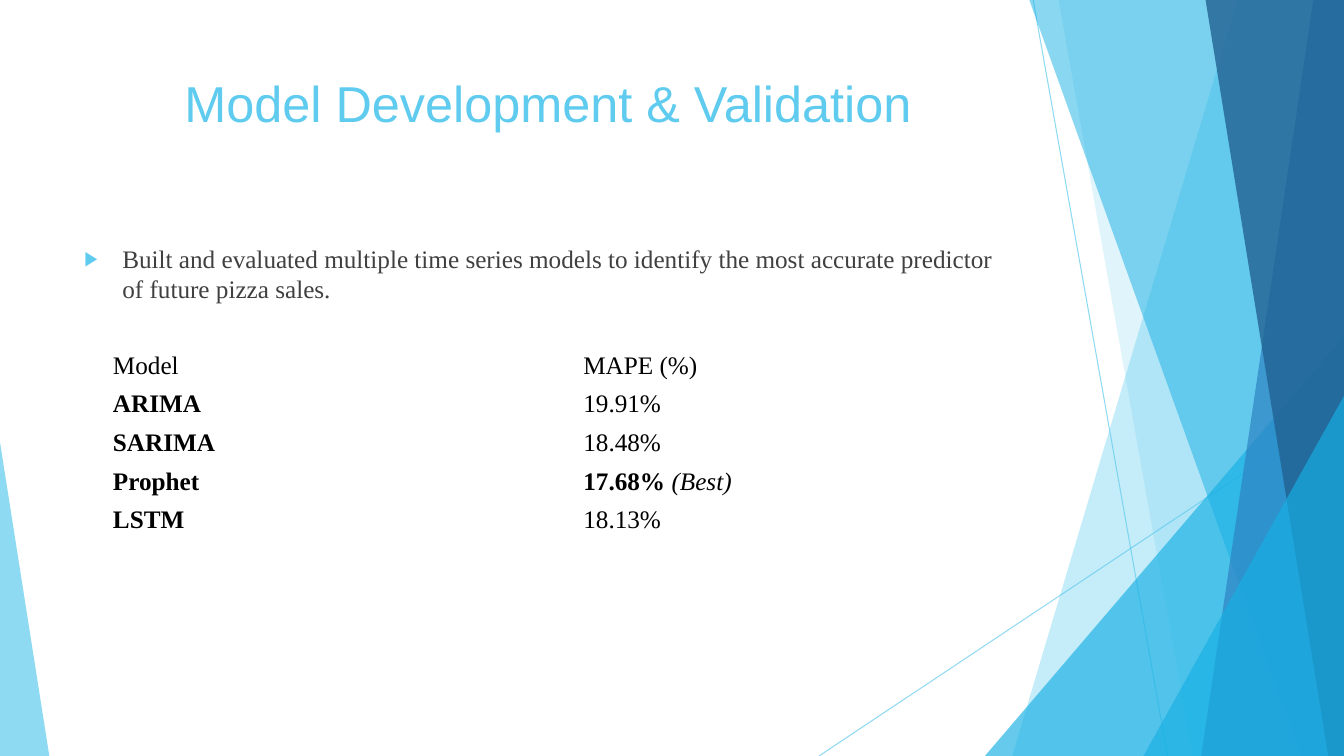
from lxml import etree
from pptx import Presentation
from pptx.dml.color import RGBColor
from pptx.enum.shapes import MSO_CONNECTOR, MSO_SHAPE
from pptx.enum.text import MSO_ANCHOR, PP_ALIGN
from pptx.oxml.ns import qn
from pptx.util import Pt

PX = 9525  # EMU per px, 96 px to the inch
WIDTH, HEIGHT = 1280, 720
STRAIGHT = MSO_CONNECTOR.STRAIGHT
TRIANGLE = MSO_SHAPE.ISOSCELES_TRIANGLE
MIDDLE = MSO_ANCHOR.MIDDLE
CENTER = PP_ALIGN.CENTER
COLORS = {"sky": "5FCBEF", "cyan": "17B0E4", "blue": "2E83C3",
          "navy": "226292", "body": "404040", "table": "000000"}


def set_alpha(color_format, color, percent):
    """Give a solid fill or line a colour with the stated opacity."""
    color_format.fore_color.rgb = RGBColor.from_string(COLORS[color])
    srgb = color_format._xPr.find(".//" + qn("a:srgbClr"))
    etree.SubElement(srgb, qn("a:alpha"), val=str(percent * 1000))


def set_font(font, name, size, color):
    font.name = name
    font.size = Pt(size)
    font.color.rgb = RGBColor.from_string(COLORS[color])


prs = Presentation()
prs.slide_width, prs.slide_height = WIDTH * PX, HEIGHT * PX
slide = prs.slides.add_slide(prs.slide_layouts[6])
shapes = slide.shapes

# Thin crossing lines
for ends in [(984, 0, 1112, 720), (1280, 387, 780, 720)]:
    ray = shapes.add_connector(STRAIGHT, *[end * PX for end in ends])
    ray.line.width = Pt(0.75)
    ray.line.fill.solid()
    set_alpha(ray.line.fill, "sky", 70)
    etree.SubElement(ray._element.spPr, qn("a:effectLst"))

# Facets from back to front: bands give top and bottom x of their left edge
# and reach the right edge; triangles give left, top, width and apex position
facets = [
    ("band", (1179, 964), "sky", 36),
    ("band", (1008, 1136), "sky", 20),
    ("triangle", (938, 320, 342, 1), "cyan", 66),
    ("band", (980, 1239), "cyan", 50),
    ("band", (1251, 1144), "blue", 70),
    ("band", (1148, 1265), "navy", 80),
    ("triangle", (1089, 377, 191, 1), "cyan", 66),
    ("triangle", (0, 421, 47, 0), "sky", 70),
]
for kind, place, color, opacity in facets:
    if kind == "band":
        top_x, bottom_x = place
        outline = shapes.build_freeform(top_x, -1, scale=PX)
        outline.add_line_segments([(WIDTH, -1), (WIDTH, HEIGHT), (bottom_x, HEIGHT)])
        facet = outline.convert_to_shape()
    else:
        left, top, width, apex = place
        facet = shapes.add_shape(TRIANGLE, left * PX, top * PX,
                                 width * PX, (HEIGHT - top) * PX)
        facet.adjustments[0] = apex
    facet.shadow.inherit = False
    facet.line.fill.background()
    facet.fill.solid()
    set_alpha(facet.fill, color, opacity)

# Title
title = shapes.add_textbox(71 * PX, 64 * PX, 902 * PX, 138 * PX).text_frame
title.word_wrap = True
heading = title.paragraphs[0]
heading.text = "Model Development & Validation"
heading.alignment = CENTER
set_font(heading.font, "Arial", 36, "sky")

# Bulleted summary
body = shapes.add_textbox(71 * PX, 227 * PX, 902 * PX, 407 * PX).text_frame
body.word_wrap = True
summary = body.paragraphs[0]
summary.text = ("Built and evaluated multiple time series models to identify "
                "the most accurate predictor of future pizza sales.")
summary.space_before = Pt(10)
set_font(summary.font, "Times New Roman", 18, "body")
bullet = summary._p.get_or_add_pPr()
bullet.set("marL", str(36 * PX))
bullet.set("indent", str(-36 * PX))
bullet_color = etree.Element(qn("a:buClr"))
etree.SubElement(bullet_color, qn("a:srgbClr"), val=COLORS["sky"])
bullet_parts = [bullet_color,
                etree.Element(qn("a:buSzPct"), val="80000"),
                etree.Element(qn("a:buFont"), typeface="Arial"),
                etree.Element(qn("a:buChar"), char="▶")]
for position, part in enumerate(bullet_parts, start=1):  # after a:spcBef
    bullet.insert(position, part)

# Model scores; each cell is a list of (text, bold, italic) runs
scores = [
    ([("Model", False, False)], [("MAPE (%)", False, False)]),
    ([("ARIMA", True, False)], [("19.91%", False, False)]),
    ([("SARIMA", True, False)], [("18.48%", False, False)]),
    ([("Prophet", True, False)], [("17.68% ", True, False), ("(Best)", False, True)]),
    ([("LSTM", True, False)], [("18.13%", False, False)]),
]
ROW_HEIGHT = 36
table = shapes.add_table(len(scores), 2, 98 * PX, 330 * PX, 899 * PX,
                         len(scores) * ROW_HEIGHT * PX).table
table.first_row = table.horz_banding = False
for column, width in zip(table.columns, (448, 451)):
    column.width = width * PX
for row, score in enumerate(scores):
    for col, parts in enumerate(score):
        cell = table.cell(row, col)
        cell.fill.background()
        cell.vertical_anchor = MIDDLE
        cell.margin_top = cell.margin_bottom = 4 * PX
        entry = cell.text_frame.paragraphs[0]
        set_font(entry.font, "Times New Roman", 18, "table")
        for text, bold, italic in parts:
            run = entry.add_run()
            run.text = text
            set_font(run.font, "Times New Roman", 18, "table")
            run.font.bold, run.font.italic = bold, italic

prs.save("out.pptx")
